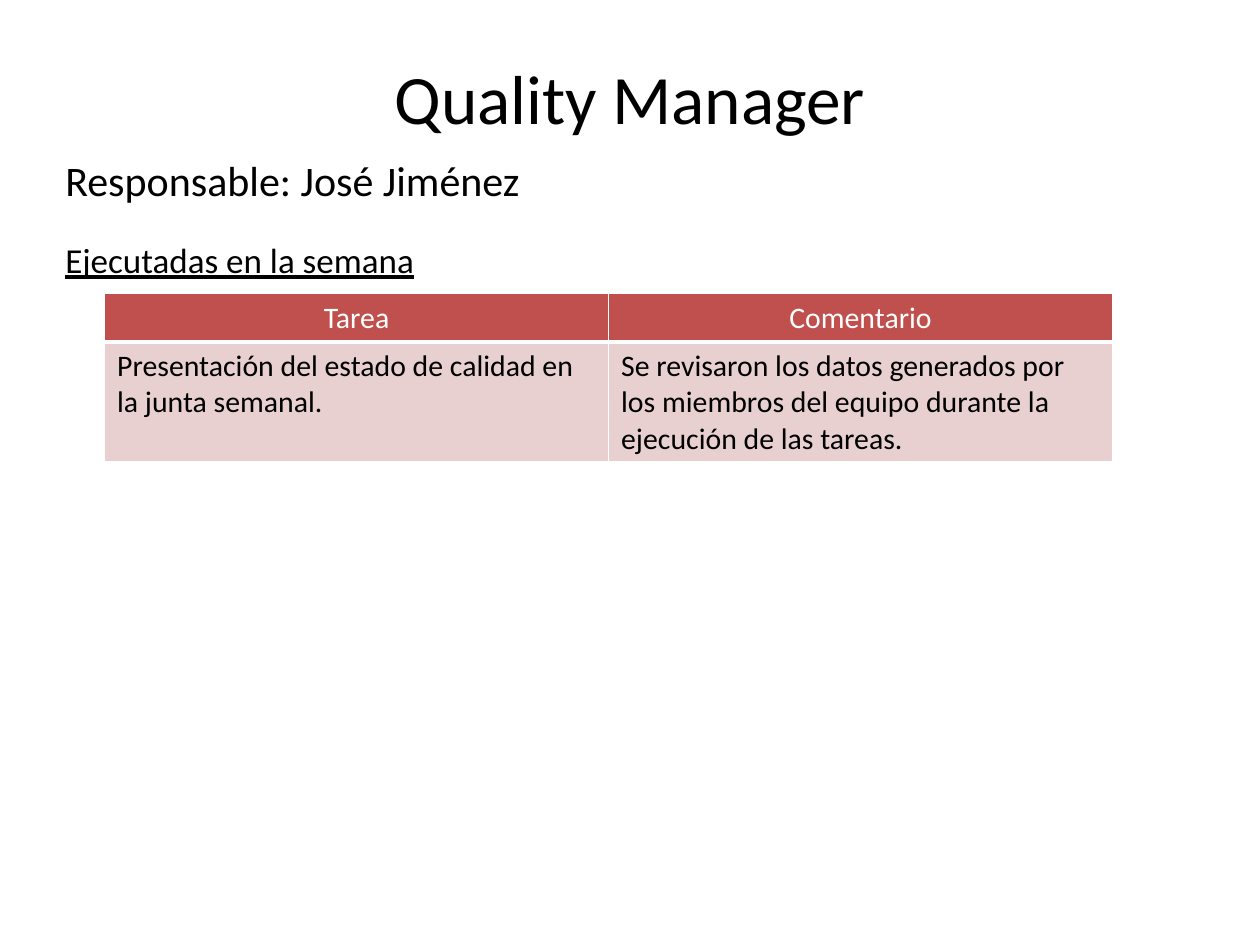
"""Build the Quality Manager weekly task slide."""
from dataclasses import dataclass

from lxml.etree import SubElement
from pptx import Presentation
from pptx.dml.color import RGBColor as Color
from pptx.enum.text import MSO_ANCHOR as Anchor, PP_ALIGN as Align
from pptx.oxml.ns import qn
from pptx.util import Inches, Pt

TITLE = "Quality Manager"
OWNER = "Responsable: José Jiménez"
SECTION = "Ejecutadas en la semana"
TASKS = [
    ("Tarea", "Comentario"),
    (
        "Presentación del estado de calidad en la junta semanal.",
        "Se revisaron los datos generados por los miembros del equipo "
        "durante la ejecución de las tareas.",
    ),
]

SLIDE_SIZE = (10, 7.5)
TITLE_AREA = (0.5, 0.39, 9, 0.7)
INTRO_AREA = (0.42, 1.18, 9.33, 1.25)
TABLE_ORIGIN = (0.83, 2.33)
COLUMN_WIDTH = 4
ROW_HEIGHTS = (0.38, 0.95)


@dataclass(frozen=True)
class Theme:
    font: str = "Calibri"
    ink: str = "000000"
    paper: str = "FFFFFF"
    header: str = "C0504D"
    body: str = "E8D0D0"
    title_size: float = 39.6
    owner_size: float = 24
    section_size: float = 20
    cell_size: float = 17
    section_gap: float = 19
    thin: float = 1
    thick: float = 3


THEME = Theme()


def add_span(para, text, size, color=THEME.ink, underline=None):
    span = para.add_run()
    span.text = text
    span.font.name = THEME.font
    span.font.size = Pt(size)
    span.font.color.rgb = Color.from_string(color)
    span.font.underline = underline


def add_box(page, area):
    box = page.shapes.add_textbox(*map(Inches, area))
    box.text_frame.word_wrap = True
    box.text_frame.vertical_anchor = Anchor.TOP
    return box.text_frame


def set_borders(cell, bottom):
    properties = cell._tc.get_or_add_tcPr()
    widths = {"L": THEME.thin, "R": THEME.thin, "T": THEME.thin, "B": bottom}
    for side, width in widths.items():
        line = SubElement(properties, qn(f"a:ln{side}"), w=str(Pt(width)))
        fill = SubElement(line, qn("a:solidFill"))
        SubElement(fill, qn("a:srgbClr"), val=THEME.paper)


def add_task_table(page):
    columns = len(TASKS[0])
    size = (COLUMN_WIDTH * columns, sum(ROW_HEIGHTS))
    frame = page.shapes.add_table(len(TASKS), columns, *map(Inches, TABLE_ORIGIN + size))
    table = frame.table
    for row, texts in enumerate(TASKS):
        table.rows[row].height = Inches(ROW_HEIGHTS[row])
        is_header = row == 0
        for column, text in enumerate(texts):
            cell = table.cell(row, column)
            set_borders(cell, THEME.thick if is_header else THEME.thin)
            cell.fill.solid()
            cell.fill.fore_color.rgb = Color.from_string(THEME.header if is_header else THEME.body)
            para = cell.text_frame.paragraphs[0]
            para.alignment = Align.CENTER if is_header else Align.LEFT
            add_span(para, text, THEME.cell_size, THEME.paper if is_header else THEME.ink)


def main():
    deck = Presentation()
    deck.slide_width, deck.slide_height = map(Inches, SLIDE_SIZE)
    page = deck.slides.add_slide(deck.slide_layouts[6])

    heading = add_box(page, TITLE_AREA).paragraphs[0]
    heading.alignment = Align.CENTER
    add_span(heading, TITLE, THEME.title_size)

    intro = add_box(page, INTRO_AREA)
    add_span(intro.paragraphs[0], OWNER, THEME.owner_size)
    section = intro.add_paragraph()
    section.space_before = Pt(THEME.section_gap)
    add_span(section, SECTION, THEME.section_size, underline=True)

    add_task_table(page)
    deck.save("out.pptx")


if __name__ == "__main__":
    main()
